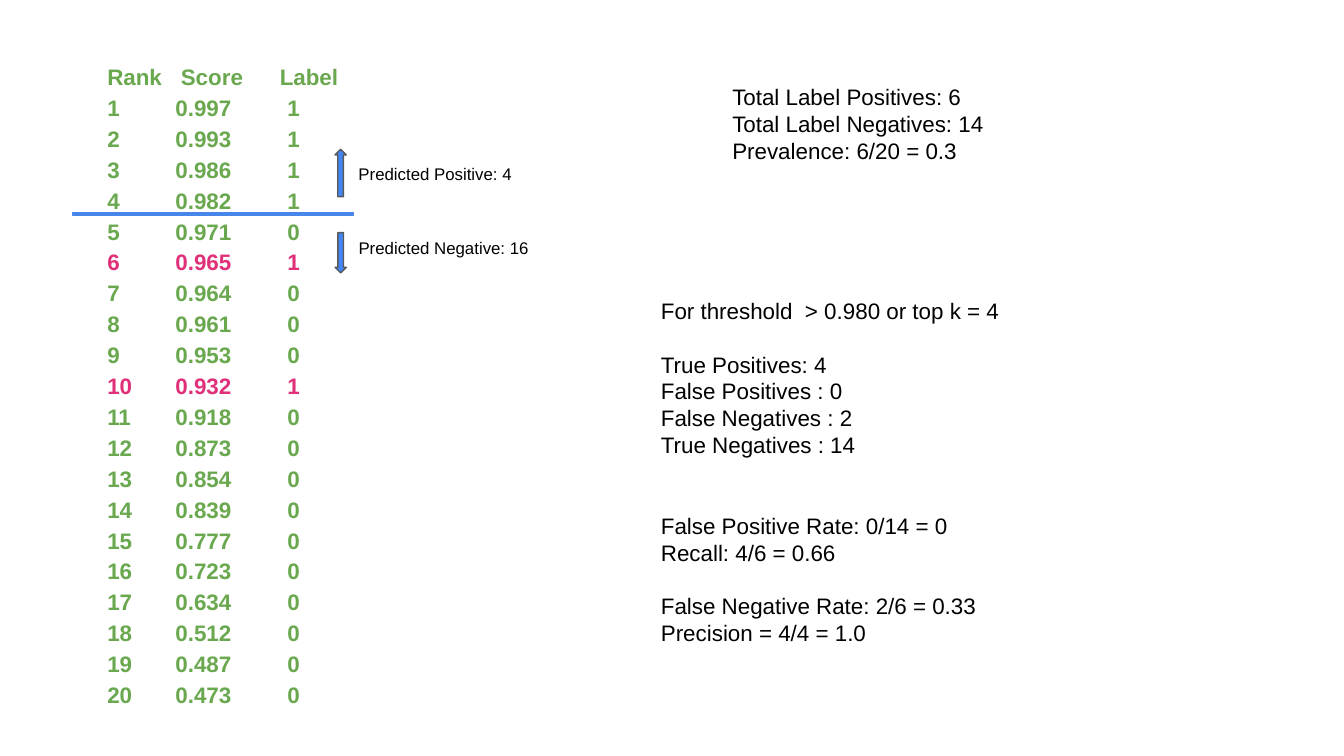
from dataclasses import dataclass
from typing import NamedTuple

import lxml.etree
import pptx
import pptx.dml.color
import pptx.enum.shapes
import pptx.enum.text
import pptx.oxml.ns
import pptx.util

Pt = pptx.util.Pt
RGB = pptx.dml.color.RGBColor.from_string
PRESET = pptx.enum.shapes.MSO_SHAPE


@dataclass(frozen=True)
class Theme:
    font: str = "Arial"
    text: str = "000000"
    ranked: str = "6AA84F"
    missed: str = "DF3079"
    accent: str = "4285F4"
    cutoff_line: str = "4A86E8"
    arrow_line: str = "595959"
    background: str = "FFFFFF"
    body_size: float = 12
    note_size: float = 9
    outline: float = 0.75
    inset: float = 7.2
    ranking_spacing: float = 1.15
    group_gap: float = 14.4


class Box(NamedTuple):
    left: float
    top: float
    width: float
    height: float

    def lengths(self) -> list:
        return [Pt(value) for value in self]


class Line(NamedTuple):
    text: str
    gap: float = 0


class Prediction(NamedTuple):
    text: str
    arrow: Box
    note: Box
    rotation: float


THEME = Theme()
SLIDE_SIZE = (720, 405)
RANKING_BOX = Box(50.4, 24.5, 139, 363.6)
CUTOFF_BOX = Box(38.9, 113.8, 150.5, 1.4)
TOTALS_BOX = Box(385.2, 37.4, 334.8, 58.3)
METRICS_BOX = Box(347, 151.9, 288, 203.8)

HEADER_STOPS = (39.4, 92.4)
ROW_STOPS = (36.5, 96.5)
SCORES = (0.997, 0.993, 0.986, 0.982, 0.971, 0.965, 0.964, 0.961, 0.953, 0.932,
          0.918, 0.873, 0.854, 0.839, 0.777, 0.723, 0.634, 0.512, 0.487, 0.473)
POSITIVE_RANKS = {1, 2, 3, 4, 6, 10}
TOP_K = 4

TOTALS = [
    Line("Total Label Positives: 6"),
    Line("Total Label Negatives: 14"),
    Line("Prevalence: 6/20 = 0.3"),
]
METRICS = [
    Line("For threshold  > 0.980 or top k = 4"),
    Line("True Positives: 4", THEME.group_gap),
    Line("False Positives : 0"),
    Line("False Negatives : 2"),
    Line("True Negatives : 14"),
    Line("False Positive Rate: 0/14 = 0", 2 * THEME.group_gap),
    Line("Recall: 4/6 = 0.66"),
    Line("False Negative Rate: 2/6 = 0.33", THEME.group_gap),
    Line("Precision = 4/4 = 1.0"),
]
PREDICTIONS = [
    Prediction("Predicted Positive: 4", Box(179.5, 80, 6, 25.4),
               Box(185, 82.1, 100.8, 25.2), 0),
    Prediction("Predicted Negative: 16", Box(179.5, 124.6, 6, 21.6),
               Box(185, 121.7, 111.6, 25.2), 180),
]


def prepare_frame(frame) -> None:
    frame.word_wrap = True
    frame.auto_size = pptx.enum.text.MSO_AUTO_SIZE.SHAPE_TO_FIT_TEXT
    frame.vertical_anchor = pptx.enum.text.MSO_ANCHOR.TOP
    frame.margin_left = frame.margin_right = Pt(THEME.inset)
    frame.margin_top = frame.margin_bottom = Pt(THEME.inset)


def format_paragraph(paragraph, size: float, color: str, bold: bool = False) -> None:
    paragraph.alignment = pptx.enum.text.PP_ALIGN.LEFT
    for run in paragraph.runs:
        run.font.name = THEME.font
        run.font.size = Pt(size)
        run.font.bold = bold
        run.font.color.rgb = RGB(color)


def set_tab_stops(paragraph, stops: tuple[float, ...]) -> None:
    qn = pptx.oxml.ns.qn
    tabs = lxml.etree.SubElement(paragraph._p.get_or_add_pPr(), qn("a:tabLst"))
    for stop in stops:
        lxml.etree.SubElement(tabs, qn("a:tab"), pos=str(Pt(stop)), algn="l")


def add_preset(slide, preset, box: Box, fill: str | None, line: str):
    shape = slide.shapes.add_shape(preset, *box.lengths())
    shape.shadow.inherit = False
    if fill is None:
        shape.fill.background()
    else:
        shape.fill.solid()
        shape.fill.fore_color.rgb = RGB(fill)
    shape.line.color.rgb = RGB(line)
    shape.line.width = Pt(THEME.outline)
    return shape


def add_lines(slide, box: Box, lines: list[Line], size: float) -> None:
    frame = slide.shapes.add_textbox(*box.lengths()).text_frame
    prepare_frame(frame)
    frame.text = "\n".join(line.text for line in lines)
    for paragraph, line in zip(frame.paragraphs, lines):
        format_paragraph(paragraph, size, THEME.text)
        if line.gap:
            paragraph.space_before = Pt(line.gap)


def add_ranking(slide) -> None:
    """Draw the ranked scores, marking positives that fall below the cutoff."""
    rows = ["Rank\tScore\tLabel"]
    for rank, score in enumerate(SCORES, start=1):
        rows.append(f"{rank}\t{score:.3f}\t{int(rank in POSITIVE_RANKS)}")
    frame = add_preset(slide, PRESET.RECTANGLE, RANKING_BOX, None,
                       THEME.background).text_frame
    prepare_frame(frame)
    frame.text = "\n".join(rows)
    for rank, paragraph in enumerate(frame.paragraphs):
        missed = rank > TOP_K and rank in POSITIVE_RANKS
        format_paragraph(paragraph, THEME.body_size,
                         THEME.missed if missed else THEME.ranked, bold=True)
        paragraph.line_spacing = THEME.ranking_spacing
        set_tab_stops(paragraph, ROW_STOPS if rank else HEADER_STOPS)


def add_prediction(slide, prediction: Prediction) -> None:
    arrow = add_preset(slide, PRESET.UP_ARROW, prediction.arrow,
                       THEME.accent, THEME.arrow_line)
    arrow.rotation = prediction.rotation
    add_lines(slide, prediction.note, [Line(prediction.text)], THEME.note_size)


def main() -> None:
    deck = pptx.Presentation()
    deck.slide_width, deck.slide_height = map(Pt, SLIDE_SIZE)
    slide = deck.slides.add_slide(deck.slide_layouts[6])
    add_ranking(slide)
    add_lines(slide, TOTALS_BOX, TOTALS, THEME.body_size)
    add_preset(slide, PRESET.RECTANGLE, CUTOFF_BOX, THEME.accent, THEME.cutoff_line)
    for prediction in PREDICTIONS:
        add_prediction(slide, prediction)
    add_lines(slide, METRICS_BOX, METRICS, THEME.body_size)
    deck.save("out.pptx")


if __name__ == "__main__":
    main()
